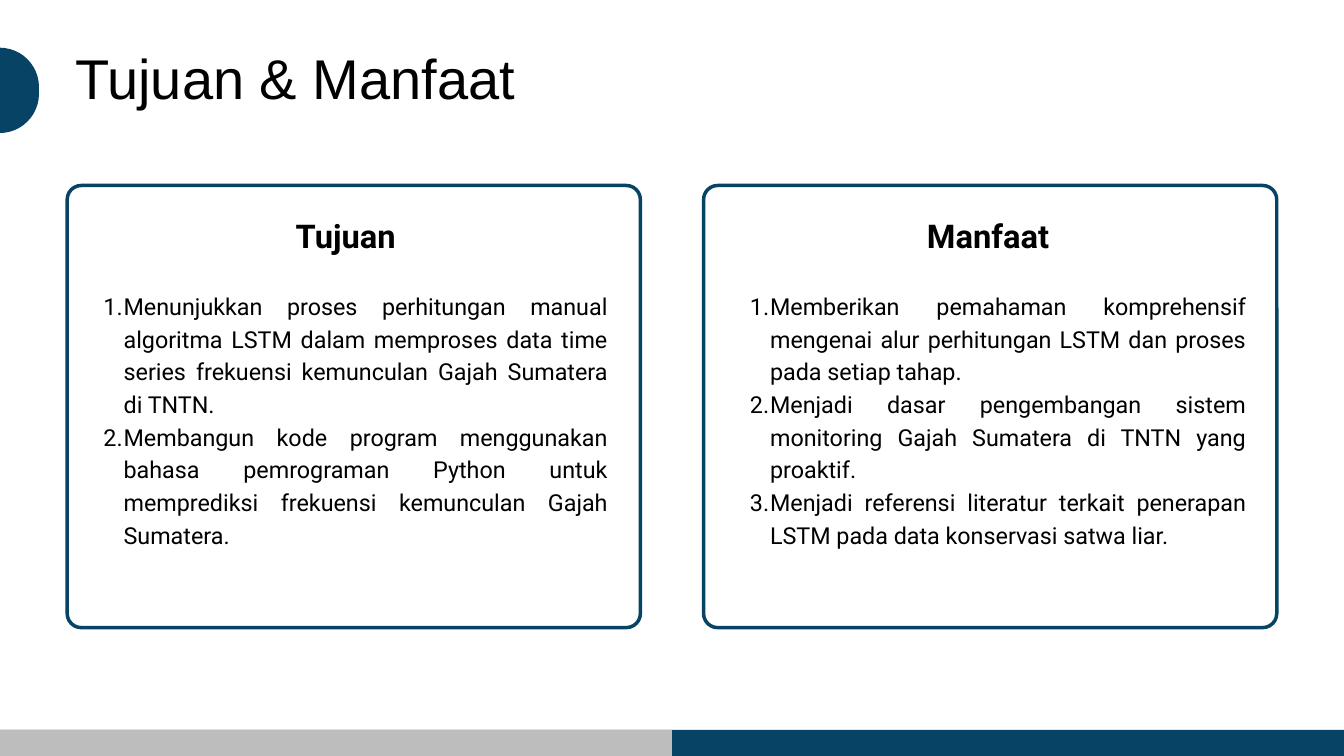
import pptx
import pptx.dml.color
import pptx.enum.shapes
import pptx.enum.text
import pptx.util
from lxml import etree
from pptx.util import Inches

TITLE = "Tujuan & Manfaat"
CARDS = [
    {
        "heading": "Tujuan",
        "text_left": 1.25,
        "text_width": 7.79,
        "items": [
            "Menunjukkan proses perhitungan manual algoritma LSTM dalam memproses data time series frekuensi kemunculan Gajah Sumatera di TNTN.",
            "Membangun kode program menggunakan bahasa pemrograman Python untuk memprediksi frekuensi kemunculan Gajah Sumatera.",
        ],
    },
    {
        "heading": "Manfaat",
        "text_left": 10.87,
        "text_width": 7.67,
        "items": [
            "Memberikan pemahaman komprehensif mengenai alur perhitungan LSTM dan proses pada setiap tahap.",
            "Menjadi dasar pengembangan sistem monitoring Gajah Sumatera di TNTN yang proaktif.",
            "Menjadi referensi literatur terkait penerapan LSTM pada data konservasi satwa liar.",
        ],
    },
]
THEME = {
    "navy": "074364", "grey": "BEBDBD", "black": "000000",
    "title_font": "Arial", "body_font": "Roboto",
    "title_size": 60, "heading_size": 35, "item_size": 25, "outline": 3.75,
}
SLIDE_WIDTH, SLIDE_HEIGHT = 20, 11.25
BAR_HEIGHT = 0.39
CARD_WIDTH, CARD_HEIGHT, CARD_TOP, MARGIN = 8.53, 6.58, 2.76, 1
CORNER_RADIUS = 0.21

SHAPES = pptx.enum.shapes.MSO_SHAPE
ALIGN = pptx.enum.text.PP_ALIGN


def color(name):
    return pptx.dml.color.RGBColor.from_string(THEME[name])


def add_panel(slide, kind, box, fill=None, line=None, radius=None):
    shape = slide.shapes.add_shape(kind, *map(Inches, box))
    shape.shadow.inherit = False
    if radius is not None:
        shape.adjustments[0] = radius / min(box[2:])
    if fill:
        shape.fill.solid()
        shape.fill.fore_color.rgb = color(fill)
    else:
        shape.fill.background()
    if line:
        shape.line.color.rgb = color(line)
        shape.line.width = pptx.util.Pt(THEME["outline"])
    else:
        shape.line.fill.background()


def add_text_frame(slide, box):
    frame = slide.shapes.add_textbox(*map(Inches, box)).text_frame
    frame.word_wrap = True
    frame.margin_left = frame.margin_right = frame.margin_top = frame.margin_bottom = 0
    return frame


def write(paragraph, text, font, size, spacing, align, bold=False):
    paragraph.text = text
    paragraph.alignment = align
    paragraph.line_spacing = pptx.util.Pt(spacing)
    paragraph.font.name = font
    paragraph.font.size = pptx.util.Pt(size)
    paragraph.font.bold = bold
    paragraph.font.color.rgb = color("black")


def number(paragraph):
    paragraph.level = 1
    properties = paragraph._p.get_or_add_pPr()
    properties.set("marL", str(Inches(0.59)))
    properties.set("indent", str(Inches(-0.3)))
    bullet = etree.SubElement(properties, pptx.oxml.ns.qn("a:buAutoNum"))
    bullet.set("type", "arabicPeriod")


def add_card(slide, left, card):
    add_panel(slide, SHAPES.ROUNDED_RECTANGLE, (left, CARD_TOP, CARD_WIDTH, CARD_HEIGHT),
              line="navy", radius=CORNER_RADIUS)
    frame = add_text_frame(slide, (card["text_left"], 3.11, card["text_width"], 5.04))
    heading = frame.paragraphs[0]
    write(heading, card["heading"], THEME["body_font"], THEME["heading_size"], 49, ALIGN.CENTER, True)
    heading.space_after = pptx.util.Pt(35)
    for item in card["items"]:
        paragraph = frame.add_paragraph()
        number(paragraph)
        write(paragraph, item, THEME["body_font"], THEME["item_size"], 35, ALIGN.JUSTIFY)


def main():
    presentation = pptx.Presentation()
    presentation.slide_width = Inches(SLIDE_WIDTH)
    presentation.slide_height = Inches(SLIDE_HEIGHT)
    slide = presentation.slides.add_slide(presentation.slide_layouts[6])

    add_panel(slide, SHAPES.ROUNDED_RECTANGLE, (-0.59, 0.71, 1.17, 1.27), fill="navy", radius=0.585)
    for fill, width in (("navy", SLIDE_WIDTH), ("grey", SLIDE_WIDTH / 2)):
        add_panel(slide, SHAPES.RECTANGLE, (0, SLIDE_HEIGHT - BAR_HEIGHT, width, BAR_HEIGHT), fill=fill)

    title = add_text_frame(slide, (1.12, 0.73, 18.06, 1.11))
    write(title.paragraphs[0], TITLE, THEME["title_font"], THEME["title_size"], 66, ALIGN.JUSTIFY)

    card_lefts = (MARGIN, SLIDE_WIDTH - MARGIN - CARD_WIDTH)
    for left, card in zip(card_lefts, CARDS):
        add_card(slide, left, card)

    presentation.save("out.pptx")


if __name__ == "__main__":
    main()
